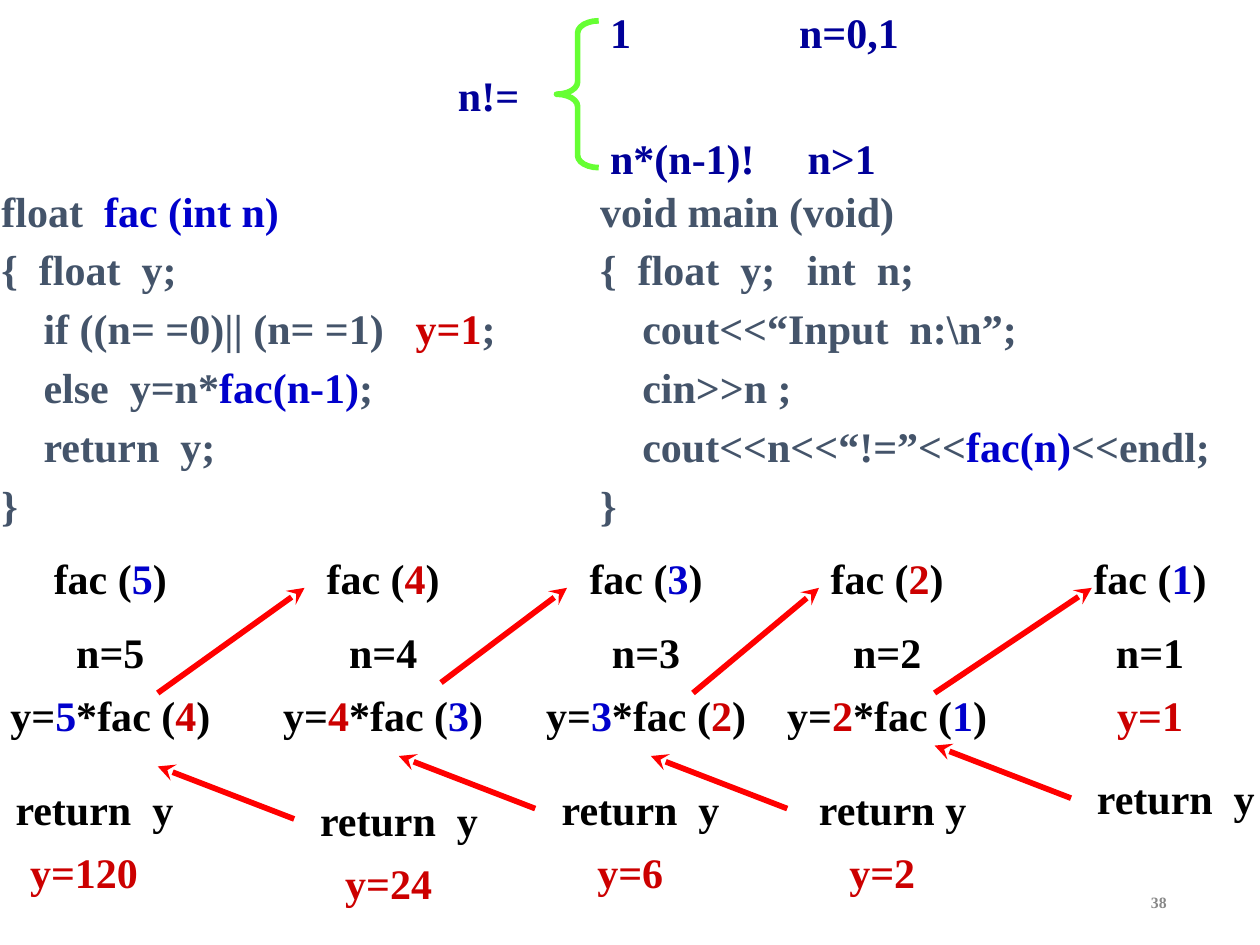
import pptx
import pptx.dml.color
import pptx.enum.shapes
import pptx.enum.text
import pptx.oxml
import pptx.oxml.ns
import pptx.util

Cm, Pt = pptx.util.Cm, pptx.util.Pt
RGB = pptx.dml.color.RGBColor
Align = pptx.enum.text.PP_ALIGN
Anchor = pptx.enum.text.MSO_ANCHOR
Fit = pptx.enum.text.MSO_AUTO_SIZE
Kind = pptx.enum.shapes.MSO_SHAPE
Line = pptx.enum.shapes.MSO_CONNECTOR

BLACK = RGB(0, 0, 0)
SLATE = RGB(0x44, 0x54, 0x6A)
NAVY = RGB(0, 0, 0x99)
BLUE = RGB(0, 0, 0xCC)
DARK = RGB(0xCC, 0, 0)
RED = RGB(0xFF, 0, 0)
GREEN = RGB(0x66, 0xFF, 0x33)
GRAY = RGB(0x88, 0x88, 0x88)

ROW = 0.97
STEP = 1.27


def put(item, values):
    for name, value in values.items():
        setattr(item, name, value)


def node(tag, attrs=""):
    space = pptx.oxml.ns.nsdecls("a")
    return pptx.oxml.parse_xml(f"<a:{tag} {space} {attrs}/>")


class Board:
    """Holds the text style and the current slide."""

    def __init__(self, slide):
        self.slide = slide
        self.font = {"name": "Times New Roman", "size": Pt(24), "bold": True}
        self.para = {"line_spacing": 1.1, "space_before": Pt(14)}
        self.frame = dict.fromkeys(
            ("margin_left", "margin_top", "margin_right", "margin_bottom"), Cm(0.03))
        self.frame.update(word_wrap=True, auto_size=Fit.SHAPE_TO_FIT_TEXT)

    def text(self, box, lines, color=BLACK, font=None, para=None, frame=None):
        """Lines hold runs: a string, or a (string, colour) pair.

        A leading tab sets the whole line in by one code level.
        """
        shape = self.slide.shapes.add_textbox(*map(Cm, box))
        body = shape.text_frame
        put(body, {**self.frame, **(frame or {})})
        for i, runs in enumerate(lines):
            par = body.paragraphs[0] if i == 0 else body.add_paragraph()
            put(par, {**self.para, **(para or {})})
            for j, part in enumerate(runs):
                words, tint = (part, color) if isinstance(part, str) else part
                if j == 0 and words.startswith("\t"):
                    words = words[1:]
                    par._p.get_or_add_pPr().set("marL", str(Cm(0.85)))
                run = par.add_run()
                run.text = words
                put(run.font, {**self.font, **(font or {})})
                run.font.color.rgb = tint
        return shape

    def label(self, left, top, width, *runs, color=BLACK):
        self.text((left, top, width, ROW), [runs], color, para={"alignment": Align.CENTER})

    def case(self, top, value, when, stop):
        """One branch of the definition, its condition at a tab stop."""
        shape = self.text((12.27, top, 6.35, ROW), [[f"{value}\t{when}"]], NAVY)
        tabs = node("tabLst")
        tabs.append(node("tab", f'pos="{Cm(stop)}" algn="l"'))
        shape.text_frame.paragraphs[0]._p.get_or_add_pPr().append(tabs)

    def code(self, left, width, lines):
        self.text((left, 3.6, width, 6.7), lines, SLATE, para={"space_before": Pt(2)})

    def brace(self, *box):
        shape = self.slide.shapes.add_shape(Kind.LEFT_BRACE, *map(Cm, box))
        shape.shadow.inherit = False
        shape.fill.background()
        shape.adjustments[0] = 0.29
        shape.line.color.rgb = GREEN
        shape.line.width = Pt(3.25)

    def arrow(self, *ends):
        link = self.slide.shapes.add_connector(Line.STRAIGHT, *map(Cm, ends))
        link.line.color.rgb = RED
        link.line.width = Pt(3.25)
        link.line._get_or_add_ln().append(node("tailEnd", 'type="stealth"'))
        link._element.spPr.append(node("effectLst"))


def mark(n):
    """The number as a run: odd blue, even red."""
    return str(n), BLUE if n % 2 else DARK


def main():
    deck = pptx.Presentation()
    deck.slide_width, deck.slide_height = Cm(25.4), Cm(19.05)
    board = Board(deck.slides.add_slide(deck.slide_layouts[6]))

    board.text((23.04, 17.86, 0.61, 0.58), [["38"]], GRAY, font={"size": Pt(9)},
               para={"alignment": Align.RIGHT, "line_spacing": 1.2, "space_before": Pt(5)},
               frame={"word_wrap": False, "vertical_anchor": Anchor.MIDDLE,
                      "margin_left": Cm(0.13), "margin_right": Cm(0.13),
                      "margin_top": Cm(0.13), "margin_bottom": Cm(0.13)})

    board.label(8.26, 1.27, 3.18, "n!=", color=NAVY)
    board.case(0, "1", "n=0,1", 3.81)
    board.case(2.54, "n*(n-1)!", "n>1", 3.98)
    board.brace(11.22, 0.42, 0.85, 2.96)

    board.code(0, 10.36, [
        ["float  ", ("fac (int n)", BLUE)],
        ["{  float  y;"],
        ["\tif ((n= =0)|| (n= =1)   ", ("y=1", DARK), ";"],
        ["\telse  y=n*", ("fac(n-1)", BLUE), ";"],
        ["\treturn  y;"],
        ["}"],
    ])
    board.code(12.07, 13.33, [
        ["void main (void)"],
        ["{  float  y;   int  n;"],
        ["\tcout<<“Input  n:\\n”;"],
        ["\tcin>>n ;"],
        ["\tcout<<n<<“!=”<<", ("fac(n)", BLUE), "<<endl;"],
        ["}"],
    ])

    for n, left in zip((5, 4, 3, 2, 1), (0, 5.5, 10.8, 15.66, 20.96)):
        board.label(left, 11.01, 4.45, "fac (", mark(n), ")")
        board.label(left, 12.49, 4.45, f"n={n}")
        if n > 1:
            last = ["y=", mark(n), "*fac (", mark(n - 1), ")"]
        else:
            last = [("y=1", DARK)]
        board.label(left, 13.76, 4.45, *last)

    calls = [(3.18, 13.97, 6.14), (8.89, 13.76, 11.43),
             (13.97, 13.97, 16.51), (18.84, 13.97, 22.01)]
    for left, base, right in calls:
        board.arrow(left, base, right, 11.85)

    for left, top in [(18.84, 15.03), (13.12, 15.24), (8.04, 15.24), (3.18, 15.45)]:
        board.arrow(left + 2.75, top + 1.06, left, top)

    backs = [(22.01, 15.45, "return  y", None), (16.3, 15.66, "return y", "y=2"),
             (11.22, 15.66, "return  y", "y=6"), (6.35, 15.88, "return  y", "y=24"),
             (0.21, 15.66, "return  y", "y=120")]
    for left, top, words, value in backs:
        board.label(left, top, 3.39, words)
        if value:
            board.label(left - 0.21, top + STEP, 3.39, value, color=DARK)

    deck.save("out.pptx")


if __name__ == "__main__":
    main()
